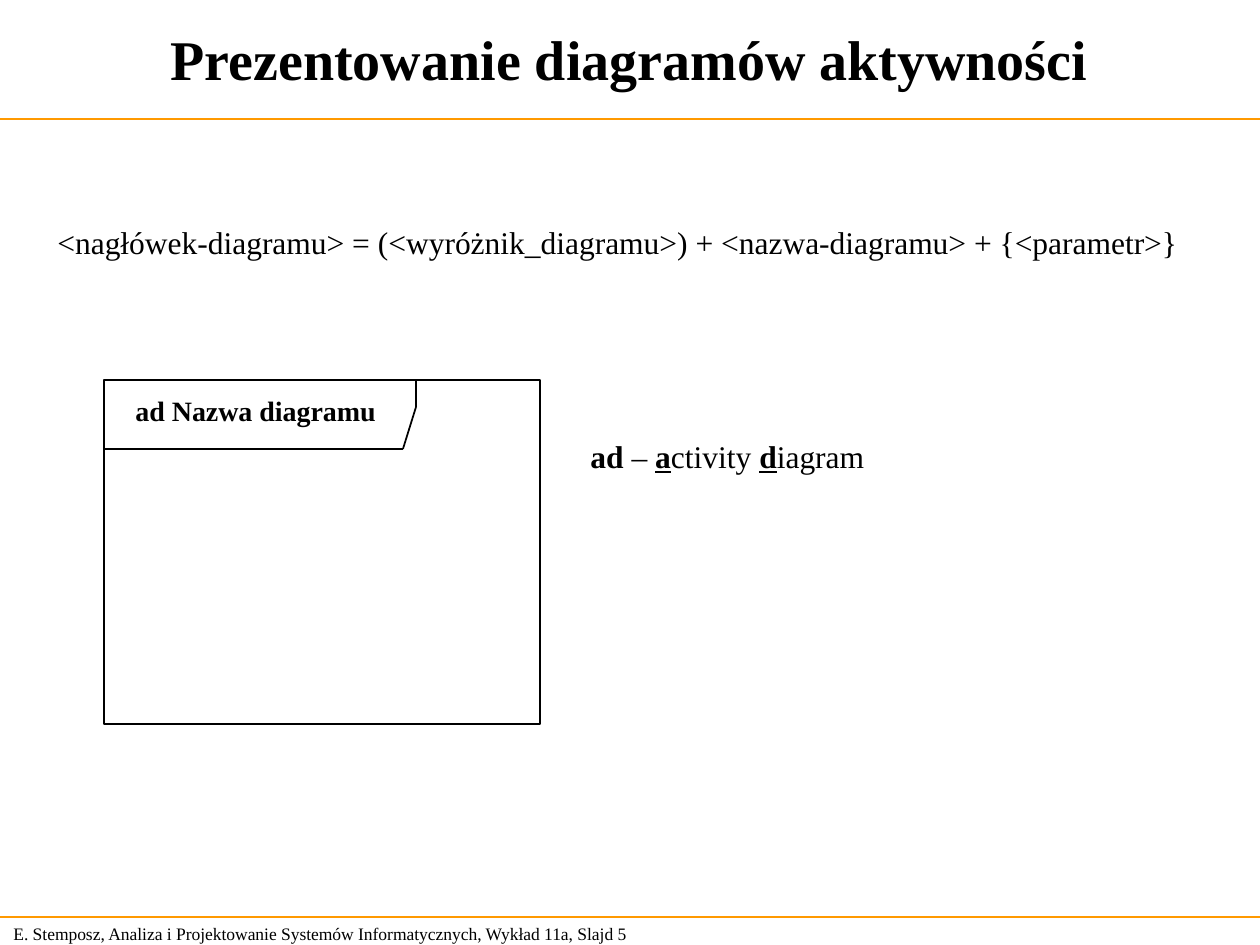
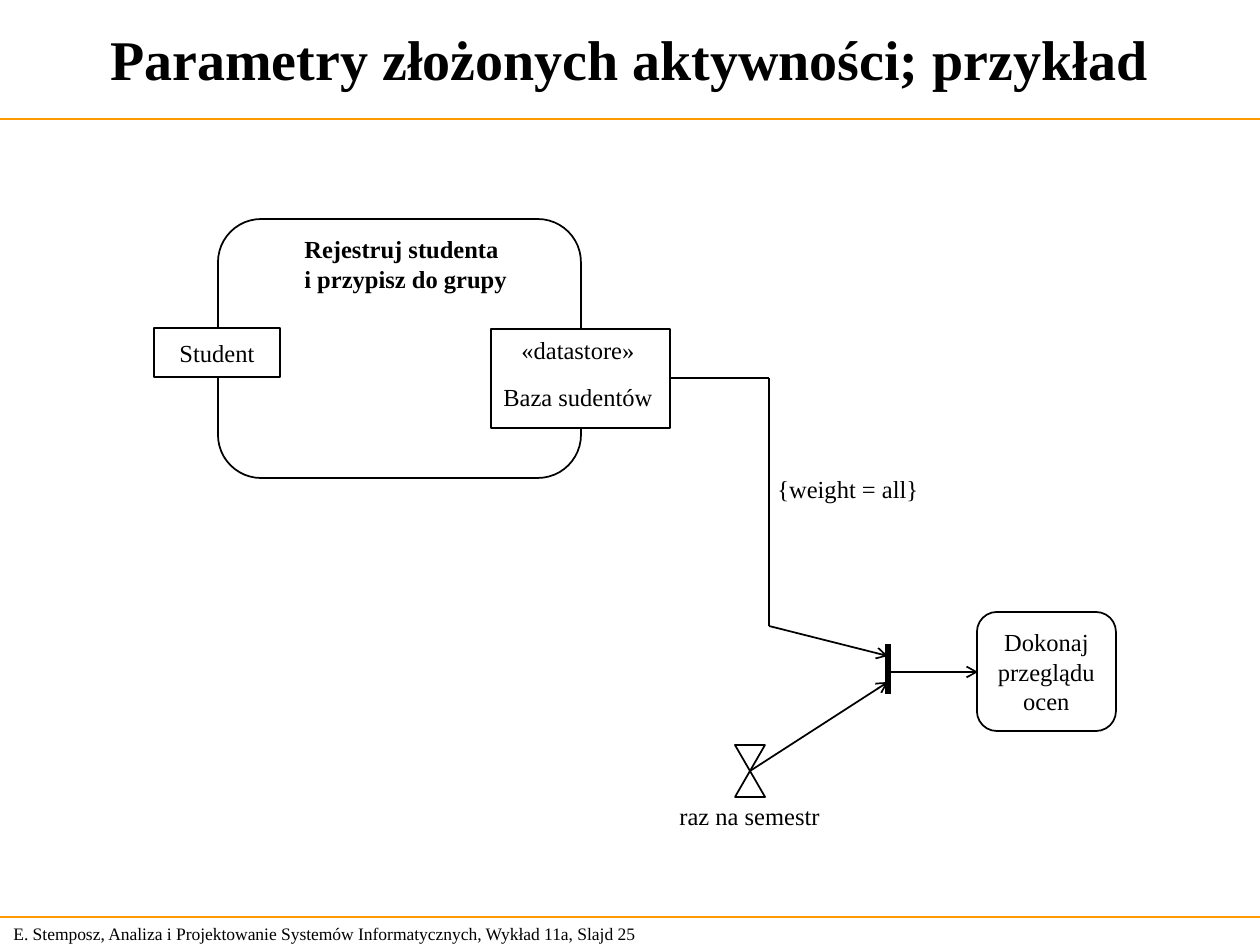
from itertools import pairwise

from lxml.etree import SubElement
from pptx import Presentation
from pptx.dml.color import RGBColor
from pptx.enum.shapes import MSO_CONNECTOR as CONN, MSO_SHAPE as SHAPE
from pptx.enum.text import MSO_ANCHOR as ANCHOR, MSO_AUTO_SIZE as AUTO, PP_ALIGN as ALIGN
from pptx.oxml.ns import qn
from pptx.util import Emu, Pt

BLACK = RGBColor(0x00, 0x00, 0x00)
WHITE = RGBColor(0xFF, 0xFF, 0xFF)
ORANGE = RGBColor(0xFF, 0x99, 0x00)
FONT = "Times New Roman"
FOOTER = "E. Stemposz, Analiza i Projektowanie Systemów Informatycznych, Wykład 11a, Slajd {}"
WIDTH, HEIGHT = 1260, 945
TITLE_RULE, FOOTER_RULE = 119, 917
SCALE = 914400 / 126


def px(*lengths):
    """Turn pixel lengths into EMU."""
    return [Emu(round(n * SCALE)) for n in lengths]


def write(sp, paragraphs, size=14, bold=False, align=ALIGN.LEFT,
          anchor=ANCHOR.TOP, wrap=False, gap=0):
    """Fill a shape with paragraphs, each a string or a list of (text, style) runs."""
    tf = sp.text_frame
    tf.word_wrap = wrap
    tf.vertical_anchor = anchor
    for i, runs in enumerate(paragraphs):
        p = tf.paragraphs[0] if i == 0 else tf.add_paragraph()
        p.alignment = align
        if i and gap:
            p.space_before = Pt(gap)
        for text, style in [(runs, {})] if isinstance(runs, str) else runs:
            r = p.add_run()
            r.text = text
            r.font.name = FONT
            r.font.size = Pt(size)
            r.font.color.rgb = BLACK
            r.font.bold = style.get("bold", bold)
            r.font.underline = style.get("underline", False)


def label(s, box, *paragraphs, wrap=False, **style):
    """Add a text box, which fits its text unless it wraps."""
    sp = s.shapes.add_textbox(*px(*box))
    write(sp, paragraphs, wrap=wrap, **style)
    sp.text_frame.auto_size = AUTO.NONE if wrap else AUTO.SHAPE_TO_FIT_TEXT


def node(s, kind, box, *paragraphs, fill=None, rotation=0):
    """Add an outlined shape with optional centred text."""
    sp = s.shapes.add_shape(kind, *px(*box))
    sp.shadow.inherit = False
    sp.rotation = rotation
    if fill is None:
        sp.fill.background()
    else:
        sp.fill.solid()
        sp.fill.fore_color.rgb = fill
    sp.line.color.rgb = BLACK
    sp.line.width = Pt(1)
    write(sp, paragraphs, align=ALIGN.CENTER, anchor=ANCHOR.MIDDLE)


def line(s, start, end, color=BLACK, width=1, arrow=False):
    """Add a straight line, with an open arrowhead at its end on request."""
    c = s.shapes.add_connector(CONN.STRAIGHT, *px(*start, *end))
    c.line.color.rgb = color
    c.line.width = Pt(width)
    if arrow:
        SubElement(c.line._get_or_add_ln(), qn("a:tailEnd"), type="arrow")
    SubElement(c._element.spPr, qn("a:effectLst"))


def polyline(s, *points, arrow=False):
    """Join points by straight lines, with the arrowhead on the last one."""
    for start, end in pairwise(points):
        line(s, start, end, arrow=arrow and end == points[-1])


def hourglass(s, x, y, width, height):
    """Add a time event made of two triangles that meet at their tips."""
    half = height // 2
    node(s, SHAPE.ISOSCELES_TRIANGLE, (x, y + half, width, half))
    node(s, SHAPE.ISOSCELES_TRIANGLE, (x, y, width, half), rotation=180)


def base_slide(prs, title, number):
    """Add a slide with the shared title, rules and footer."""
    s = prs.slides.add_slide(prs.slide_layouts[6])
    label(s, (1, FOOTER_RULE, 660, 33), FOOTER.format(number),
          size=10, anchor=ANCHOR.MIDDLE, wrap=True)
    for y in (TITLE_RULE, FOOTER_RULE):
        line(s, (0, y), (WIDTH, y), color=ORANGE, width=0.75)
    label(s, (0, 0, WIDTH - 1, 116), title, size=32, bold=True,
          align=ALIGN.CENTER, anchor=ANCHOR.MIDDLE, wrap=True)
    return s


def diagram_frame_slide(prs):
    """Show the frame and the heading of an activity diagram."""
    s = base_slide(prs, "Prezentowanie diagramów aktywności", 5)
    left, top = 104, 380
    node(s, SHAPE.RECTANGLE, (left, top, 436, 344))
    label(s, (123, 387, 266, 47), "ad Nazwa diagramu", size=16, bold=True)
    polyline(s, (left, 449), (403, 449), (416, 407), (416, top))
    initial = {"bold": True, "underline": True}
    label(s, (578, 431, 299, 50),
          [("ad", {"bold": True}), (" – ", {}), ("a", initial),
           ("ctivity ", {}), ("d", initial), ("iagram", {})], size=18)
    label(s, (45, 217, 1147, 50),
          "<nagłówek-diagramu> = (<wyróżnik_diagramu>) + <nazwa-diagramu> + {<parametr>}",
          size=18)


def parameters_slide(prs):
    """Show an activity with parameters that feeds a review of marks."""
    s = base_slide(prs, "Parametry złożonych aktywności; przykład", 25)
    node(s, SHAPE.ROUNDED_RECTANGLE, (218, 219, 363, 259))
    label(s, (292, 228, 228, 72), "Rejestruj studenta", "i przypisz do grupy", bold=True)
    node(s, SHAPE.RECTANGLE, (154, 328, 126, 49), "Student", fill=WHITE)
    node(s, SHAPE.RECTANGLE, (491, 329, 179, 99), fill=WHITE)
    label(s, (488, 329, 180, 88), "«datastore»", "Baza sudentów",
          align=ALIGN.CENTER, gap=10)
    node(s, SHAPE.ROUNDED_RECTANGLE, (977, 612, 139, 119), "Dokonaj", "przeglądu", "ocen")
    bar = 888
    line(s, (bar, 644), (bar, 694), width=3)
    label(s, (765, 468, 166, 43), "{weight = all}")
    hourglass(s, 735, 745, 30, 52)
    label(s, (667, 795, 167, 43), "raz na semestr")
    polyline(s, (750, 771), (bar, 682), arrow=True)
    polyline(s, (bar, 672), (978, 672), arrow=True)
    polyline(s, (670, 378), (769, 378), (769, 626), (bar, 656), arrow=True)


def main():
    """Build and save both slides."""
    prs = Presentation()
    prs.slide_width, prs.slide_height = px(WIDTH, HEIGHT)
    diagram_frame_slide(prs)
    parameters_slide(prs)
    prs.save("out.pptx")


if __name__ == "__main__":
    main()
